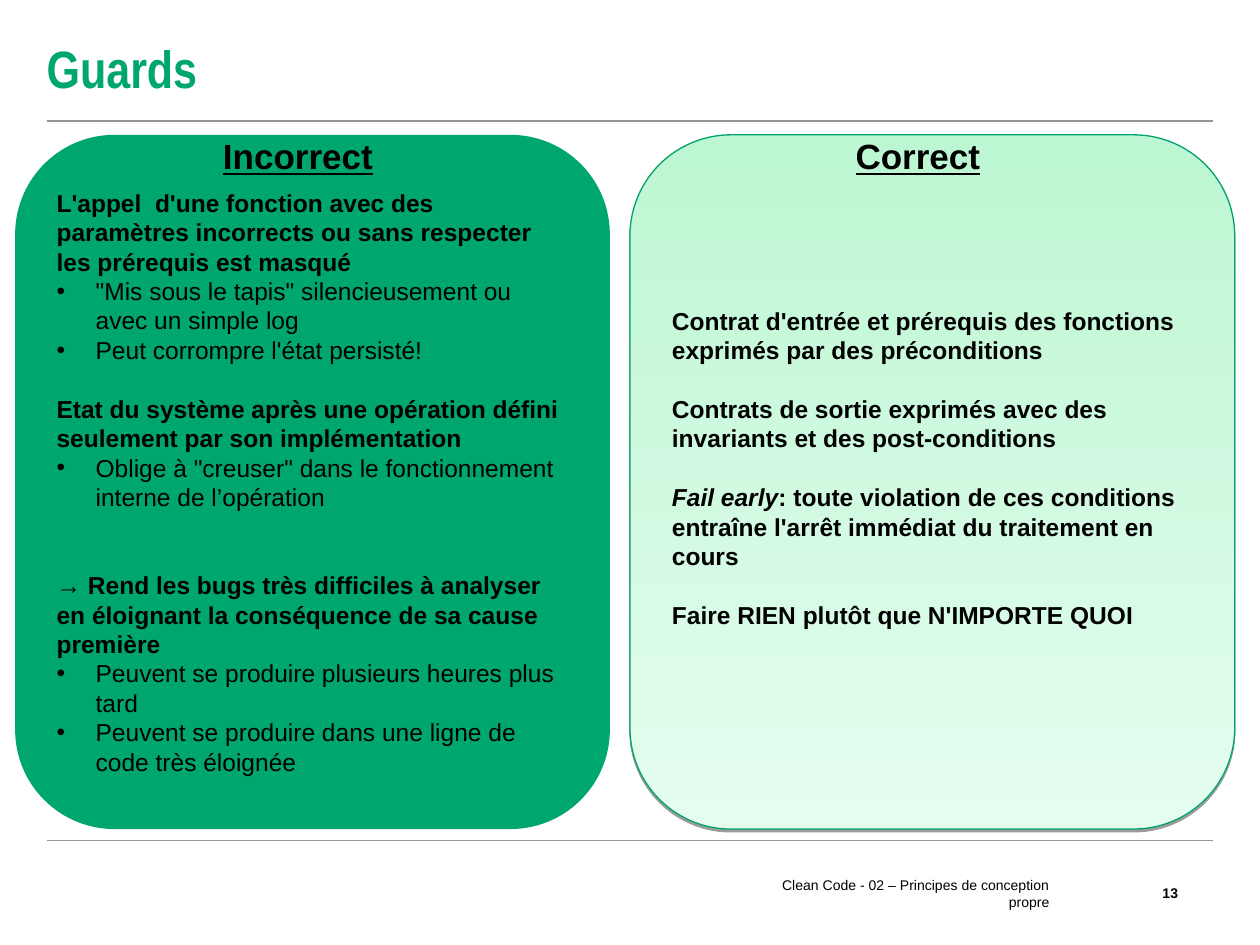
from lxml.etree import SubElement
from pptx import Presentation
from pptx.dml.color import RGBColor
from pptx.enum.shapes import MSO_CONNECTOR, MSO_SHAPE
from pptx.enum.text import MSO_ANCHOR, PP_ALIGN
from pptx.oxml.ns import qn
from pptx.util import Inches, Pt

GREEN = "00A76C"
BLACK = "000000"
LINE_GAP = 16.8


def color(hex_value):
    return RGBColor.from_string(hex_value)


def add_text(paragraph, text, size=14, font="Arial", fill=BLACK,
             bold=False, italic=False, underline=False):
    run = paragraph.add_run()
    run.text = text
    run.font.size = Pt(size)
    run.font.name = font
    run.font.color.rgb = color(fill)
    run.font.bold = bold
    run.font.italic = italic
    run.font.underline = underline


class SlideBuilder:
    def __init__(self, slide):
        self.slide = slide

    def frame(self, shape, anchor, inset=0, bottom=None):
        frame = shape.text_frame
        frame.word_wrap = True
        frame.vertical_anchor = anchor
        frame.margin_left = frame.margin_right = frame.margin_top = Inches(inset)
        frame.margin_bottom = Inches(inset if bottom is None else bottom)
        return frame

    def title(self, text):
        heading = self.slide.shapes.title
        heading.left, heading.top = Inches(0.37), Inches(0.13)
        heading.width, heading.height = Inches(9.25), Inches(0.81)
        paragraph = self.frame(heading, MSO_ANCHOR.MIDDLE).paragraphs[0]
        paragraph.alignment = PP_ALIGN.LEFT
        add_text(paragraph, text, size=30, font="Arial Narrow", fill=GREEN, bold=True)

    def rule(self, top):
        rule = self.slide.shapes.add_connector(
            MSO_CONNECTOR.STRAIGHT, Inches(0.37), Inches(top), Inches(9.63), Inches(top))
        rule.line.color.rgb = color("939598")
        rule.line.width = Pt(1)
        SubElement(rule.element.spPr, qn("a:effectLst"))

    def label(self, text, left, top, width, height, align, anchor, **style):
        label = self.slide.shapes.add_textbox(
            Inches(left), Inches(top), Inches(width), Inches(height))
        paragraph = self.frame(label, anchor).paragraphs[0]
        paragraph.alignment = align
        add_text(paragraph, text, **style)

    def panel(self, left, width, bottom=0.1):
        panel = self.slide.shapes.add_shape(
            MSO_SHAPE.ROUNDED_RECTANGLE, Inches(left), Inches(1.07),
            Inches(width), Inches(5.51))
        panel.adjustments[0] = 0.167
        panel.shadow.inherit = False
        return panel, self.frame(panel, MSO_ANCHOR.MIDDLE, 0.1, bottom)

    def solid(self, panel):
        panel.fill.solid()
        panel.fill.fore_color.rgb = color(GREEN)
        panel.line.fill.background()

    def gradient(self, panel):
        panel.fill.gradient()
        panel.fill.gradient_angle = 270
        for stop, position, tint in zip(panel.fill.gradient_stops, (0, 1), ("BDF6D2", "E4FDEF")):
            stop.position = position
            stop.color.rgb = color(tint)
        panel.line.color.rgb = color("00A369")
        panel.line.width = Pt(0.75)
        effects = panel.element.spPr.find(qn("a:effectLst"))
        shadow = SubElement(effects, qn("a:outerShdw"), blurRad="0", dist=str(Pt(1.6)),
                            dir="5400000", rotWithShape="0")
        tone = SubElement(shadow, qn("a:srgbClr"), val=BLACK)
        SubElement(tone, qn("a:alpha"), val="38000")

    def paragraph(self, frame, first, gap=0):
        paragraph = frame.paragraphs[0] if first else frame.add_paragraph()
        paragraph.alignment = PP_ALIGN.LEFT
        if gap:
            paragraph.space_before = Pt(gap * LINE_GAP)
        return paragraph

    def bullet(self, frame, text):
        paragraph = self.paragraph(frame, first=False)
        properties = paragraph._p.get_or_add_pPr()
        properties.set("marL", str(Inches(0.31)))
        properties.set("indent", str(-Inches(0.31)))
        tone = SubElement(properties, qn("a:buClr"))
        SubElement(tone, qn("a:srgbClr"), val=BLACK)
        SubElement(properties, qn("a:buFont"), typeface="Arial")
        SubElement(properties, qn("a:buChar"), char="•")
        add_text(paragraph, text)


PROBLEMS = [
    (0, "L'appel  d'une fonction avec des paramètres incorrects ou sans respecter "
        "les prérequis est masqué",
     ["\"Mis sous le tapis\" silencieusement ou avec un simple log",
      "Peut corrompre l'état persisté!"]),
    (1, "Etat du système après une opération défini seulement par son implémentation",
     ["Oblige à \"creuser\" dans le fonctionnement interne de l’opération"]),
    (2, "→ Rend les bugs très difficiles à analyser en éloignant la conséquence "
        "de sa cause première",
     ["Peuvent se produire plusieurs heures plus tard",
      "Peuvent se produire dans une ligne de code très éloignée"]),
]

PRACTICES = [
    ("", "Contrat d'entrée et prérequis des fonctions exprimés par des préconditions"),
    ("", "Contrats de sortie exprimés avec des invariants et des post-conditions"),
    ("Fail early", ": toute violation de ces conditions entraîne l'arrêt immédiat "
                   "du traitement en cours"),
    ("", "Faire RIEN plutôt que N'IMPORTE QUOI"),
]


def main():
    presentation = Presentation()
    presentation.slide_width, presentation.slide_height = Inches(10), Inches(7.5)
    builder = SlideBuilder(presentation.slides.add_slide(presentation.slide_layouts[5]))

    for top in (6.67, 0.96):
        builder.rule(top)
    builder.title("Guards")
    builder.label("Clean Code - 02 – Principes de conception propre", 6.13, 6.99, 2.2, 0.2,
                  PP_ALIGN.RIGHT, MSO_ANCHOR.MIDDLE, size=8)
    builder.label("13", 9.15, 6.99, 0.2, 0.2,
                  PP_ALIGN.RIGHT, MSO_ANCHOR.MIDDLE, size=8, bold=True)

    incorrect, problems = builder.panel(0.12, 4.72)
    builder.solid(incorrect)
    for index, (gap, problem, effects) in enumerate(PROBLEMS):
        add_text(builder.paragraph(problems, index == 0, gap), problem, bold=True)
        for effect in effects:
            builder.bullet(problems, effect)

    correct, practices = builder.panel(5, 4.8, bottom=0.33)
    builder.gradient(correct)
    for index, (principle, practice) in enumerate(PRACTICES):
        paragraph = builder.paragraph(practices, index == 0, min(index, 1))
        if principle:
            add_text(paragraph, principle, bold=True, italic=True)
        add_text(paragraph, practice, bold=True)

    for heading, left, width in (("Incorrect", 0.83, 3.07), ("Correct", 5.87, 2.83)):
        builder.label(heading, left, 1.07, width, 0.31, PP_ALIGN.CENTER, MSO_ANCHOR.TOP,
                      size=20, bold=True, underline=True)

    presentation.save("out.pptx")


if __name__ == "__main__":
    main()
